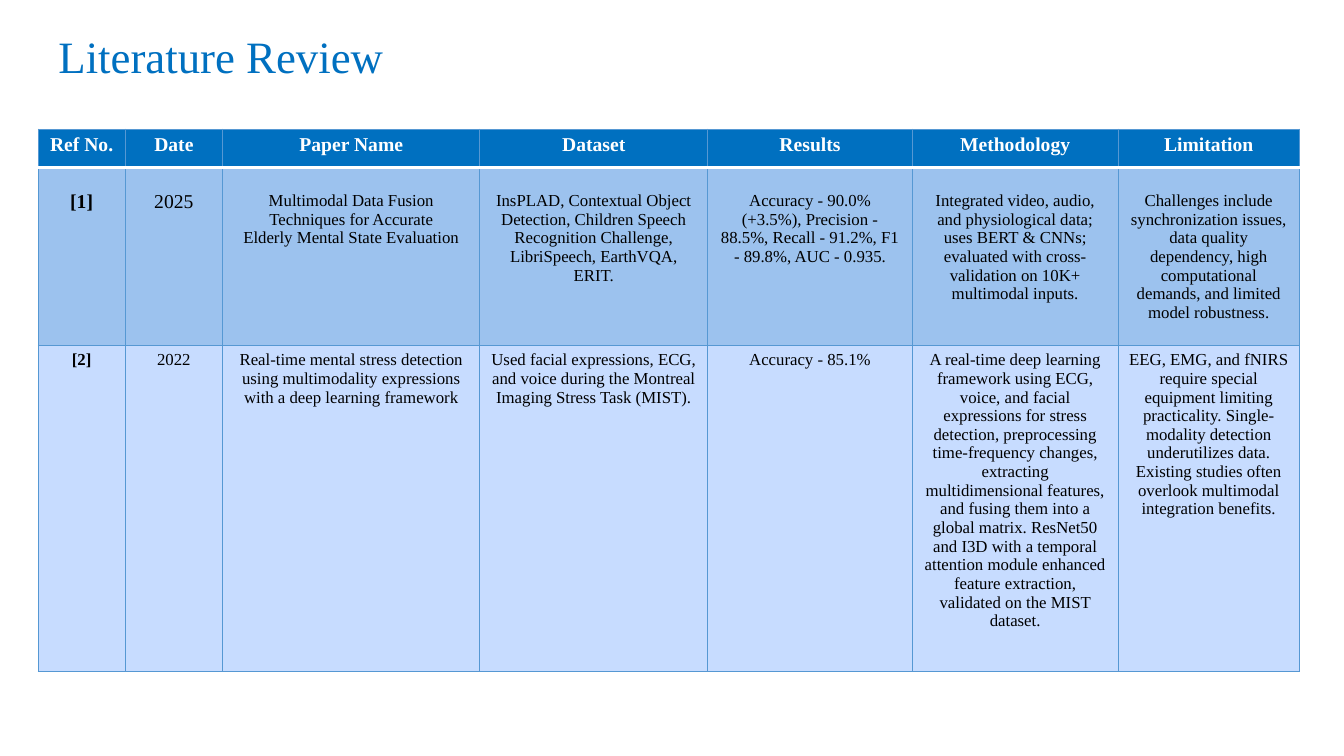
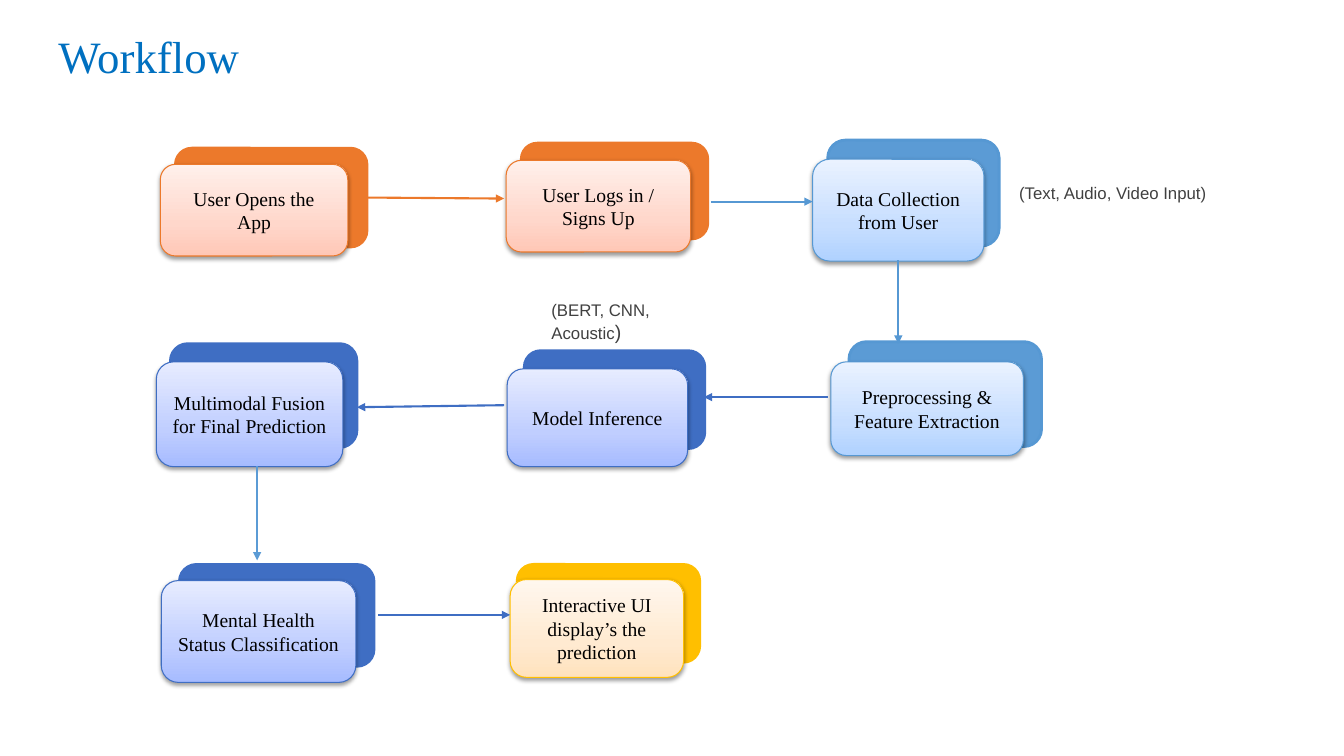
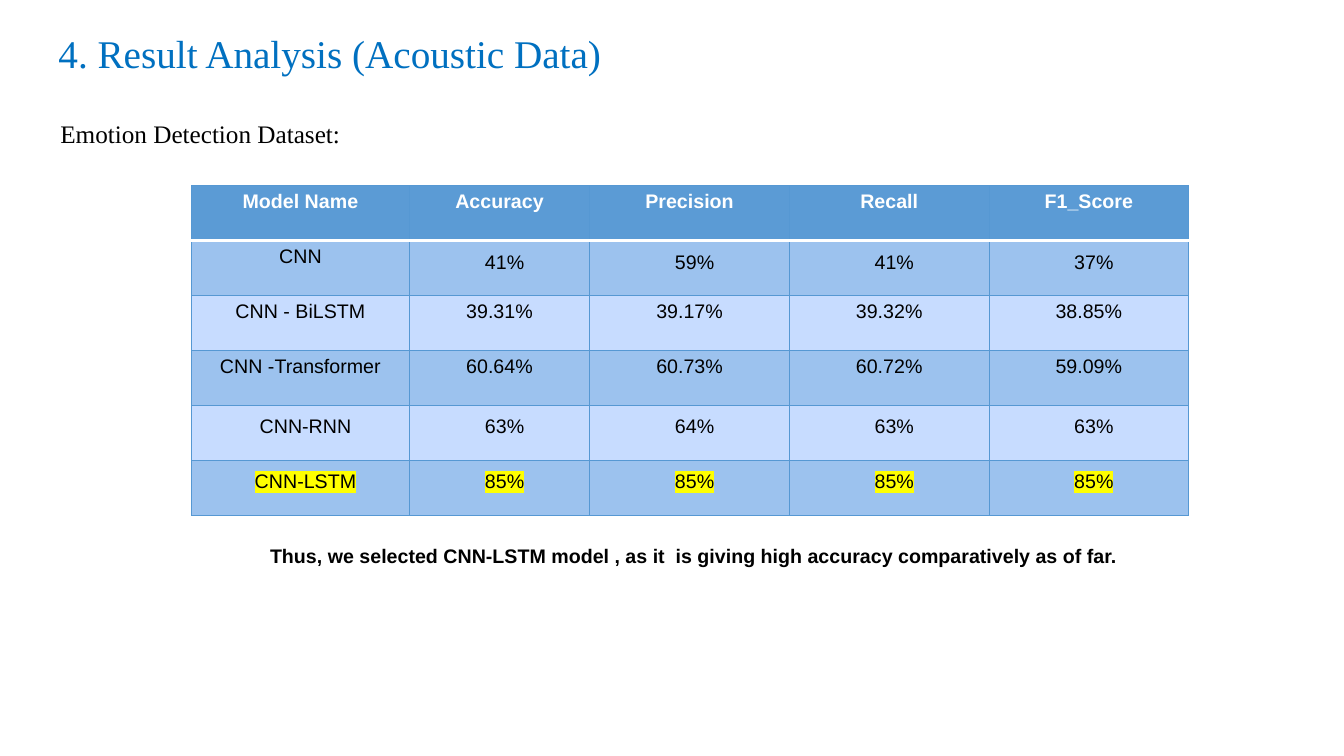
from lxml import etree
from pptx import Presentation
from pptx import util as u
from pptx.dml.color import RGBColor
from pptx.enum import shapes, text
from pptx.oxml.ns import qn

SERIF, SANS = "Times New Roman", "Arial"
COLORS = {
    "title": "0070C0", "header": "5B9BD5", "grid": "5698D3",
    "band_dark": "9CC2EE", "band_light": "C7DCFF",
    "black": "000000", "white": "FFFFFF", "note": "404040", "mark": "FFFF00",
    "orange": "EC792B", "sky": "5698D3", "royal": "3F6EC3", "gold": "FFBF00",
}
# Back panel colour, then gradient stops at 0, 35 and 100 percent
THEMES = {
    "orange": ("orange", ("FFC7B6", "FFD7CB", "FFF0EB")),
    "sky": ("header", ("B0D2FF", "C7DEFF", "EAF2FF")),
    "royal": ("royal", ("A6BBFF", "C0CEFF", "E7ECFF")),
    "gold": ("gold", ("FFE2BD", "FFEAD1", "FFF7EE")),
}
CENTER = text.PP_ALIGN.CENTER


def inches(box):
    return [u.Inches(length) for length in box]


def rgb(name):
    return RGBColor.from_string(COLORS[name])


def child(parent, tag, **attributes):
    element = etree.SubElement(parent, qn("a:" + tag))
    for key, value in attributes.items():
        element.set(key, str(value))
    return element


def style(paragraph, size, color, font=SERIF, bold=False):
    for run in paragraph.runs:
        run.font.size = u.Pt(size)
        run.font.name = font
        run.font.bold = bold
        run.font.color.rgb = rgb(color)


def titled_slide(deck, title, width, height=0.55, size=32):
    slide = deck.slides.add_slide(deck.slide_layouts[5])
    heading = slide.shapes.title
    heading.left, heading.top, heading.width, heading.height = inches(
        (0.58, 0.27, width, height))
    frame = heading.text_frame
    frame.text = title
    frame.margin_left = frame.margin_right = frame.margin_bottom = 0
    frame.margin_top = u.Inches(0.01)
    frame.vertical_anchor = text.MSO_ANCHOR.MIDDLE
    frame.auto_size = text.MSO_AUTO_SIZE.SHAPE_TO_FIT_TEXT
    frame.paragraphs[0].alignment = text.PP_ALIGN.LEFT
    style(frame.paragraphs[0], size, "title")
    return slide


def caption(slide, box, words, size, color, font=SANS, bold=False):
    frame = slide.shapes.add_textbox(*inches(box)).text_frame
    frame.word_wrap = True
    frame.text = words
    style(frame.paragraphs[0], size, color, font, bold)
    return frame.paragraphs[0]


def cell_borders(cell, row):
    """Thin grid lines, with a thick white rule under the header row."""
    properties = cell._tc.get_or_add_tcPr()
    for side in "LRTB":
        under_header = (row, side) in ((0, "B"), (1, "T"))
        color, width = ("white", 2) if under_header else ("grid", 0.75)
        line = child(properties, "ln" + side, w=int(u.Pt(width)))
        child(child(line, "solidFill"), "srgbClr", val=COLORS[color])


def banded_table(slide, left, top, widths, heights, rows, header, font, size):
    box = (left, top, sum(widths), sum(heights))
    table = slide.shapes.add_table(len(rows), len(widths), *inches(box)).table
    for column, width in zip(table.columns, widths):
        column.width = u.Inches(width)
    for r, (height, values) in enumerate(zip(heights, rows)):
        table.rows[r].height = u.Inches(height)
        band = "band_dark" if r % 2 else "band_light"
        for c, value in enumerate(values):
            cell = table.cell(r, c)
            cell_borders(cell, r)
            cell.fill.solid()
            cell.fill.fore_color.rgb = rgb(band if r else header)
            cell.text_frame.text = value
            for paragraph in cell.text_frame.paragraphs:
                paragraph.alignment = CENTER
                if r:
                    style(paragraph, size, "black", font)
                else:
                    style(paragraph, 14, "white", font, True)
    return table


def loosen(cell):
    cell.margin_left = cell.margin_right = u.Inches(0.07)
    cell.margin_top = cell.margin_bottom = 0
    paragraph = cell.text_frame.paragraphs[0]
    paragraph.line_spacing = 1.5
    paragraph.space_after = u.Pt(1.4)
    properties = paragraph._p.get_or_add_pPr()
    properties.set("marL", str(u.Inches(0.11)))
    properties.set("indent", str(u.Inches(-0.01)))


def highlight(cell):
    for run in cell.text_frame.paragraphs[0].runs:
        properties = run._r.get_or_add_rPr()
        mark = child(properties, "highlight")
        child(mark, "srgbClr", val=COLORS["mark"])
        properties.find(qn("a:solidFill")).addnext(mark)


def rounded(slide, box, line, line_width):
    panel = slide.shapes.add_shape(
        shapes.MSO_SHAPE.ROUNDED_RECTANGLE, *inches(box))
    panel.shadow.inherit = False
    panel.line.color.rgb = rgb(line)
    panel.line.width = u.Pt(line_width)
    return panel


def card(slide, label, theme, front_box, back_box):
    """A gradient card with a soft shadow in front of a solid panel."""
    back_color, stops = THEMES[theme]
    back = rounded(slide, back_box, theme, 2)
    back.fill.solid()
    back.fill.fore_color.rgb = rgb(back_color)

    front = rounded(slide, front_box, theme, 0.75)
    front.fill.background()
    properties = front._element.spPr
    gradient = etree.Element(qn("a:gradFill"), rotWithShape="1")
    stop_list = child(gradient, "gsLst")
    for position, color in zip((0, 35, 100), stops):
        stop = child(stop_list, "gs", pos=position * 1000)
        child(stop, "srgbClr", val=color)
    child(gradient, "lin", ang=270 * 60000, scaled=0)
    properties.replace(properties.find(qn("a:noFill")), gradient)

    shadow = child(properties.find(qn("a:effectLst")), "outerShdw",
                   blurRad=int(u.Pt(3.1)), dist=int(u.Pt(1.6)),
                   dir=90 * 60000, rotWithShape=0)
    child(child(shadow, "srgbClr", val=COLORS["black"]), "alpha", val=38000)

    frame = front.text_frame
    frame.word_wrap = True
    frame.vertical_anchor = text.MSO_ANCHOR.MIDDLE
    frame.text = label
    frame.paragraphs[0].alignment = CENTER
    style(frame.paragraphs[0], 14, "black")


def arrow(slide, color, *ends):
    connector = slide.shapes.add_connector(
        shapes.MSO_CONNECTOR.STRAIGHT, *inches(ends))
    connector.line.color.rgb = rgb(color)
    connector.line.width = u.Pt(1.5)
    child(connector.line._get_or_add_ln(), "tailEnd", type="triangle")
    child(connector._element.spPr, "effectLst")


LITERATURE = [
    ("Ref No.", "Date", "Paper Name", "Dataset", "Results", "Methodology",
     "Limitation"),
    ("[1]", "2025",
     "Multimodal Data Fusion Techniques for Accurate\n"
     "Elderly Mental State Evaluation",
     "InsPLAD, Contextual Object Detection, Children Speech Recognition "
     "Challenge, LibriSpeech, EarthVQA, ERIT.",
     "Accuracy - 90.0% (+3.5%), Precision - 88.5%, Recall - 91.2%, "
     "F1 - 89.8%, AUC - 0.935.",
     "Integrated video, audio, and physiological data; uses BERT & CNNs; "
     "evaluated with cross-validation on 10K+ multimodal inputs.",
     "Challenges include synchronization issues, data quality dependency, "
     "high computational demands, and limited model robustness."),
    ("[2]", "2022",
     "Real-time mental stress detection using multimodality expressions "
     "with a deep learning framework",
     "Used facial expressions, ECG, and voice during the Montreal Imaging "
     "Stress Task (MIST).",
     "Accuracy - 85.1%",
     "A real-time deep learning framework using ECG, voice, and facial "
     "expressions for stress detection, preprocessing time-frequency "
     "changes, extracting multidimensional features, and fusing them into "
     "a global matrix. ResNet50 and I3D with a temporal attention module "
     "enhanced feature extraction, validated on the MIST dataset.",
     "EEG, EMG, and fNIRS require special equipment limiting practicality. "
     "Single-modality detection underutilizes data. Existing studies often "
     "overlook multimodal integration benefits."),
]

STEPS = [
    ("User Opens the App", "orange",
     (1.59, 1.63, 1.86, 0.91), (1.74, 1.47, 1.9, 0.98)),
    ("User Logs in / Signs Up", "orange",
     (5.02, 1.59, 1.83, 0.91), (5.17, 1.42, 1.85, 0.95)),
    ("Data Collection from User", "sky",
     (8.06, 1.58, 1.7, 1.01), (8.21, 1.39, 1.7, 1.05)),
    ("Preprocessing & Feature Extraction", "sky",
     (8.24, 3.59, 1.91, 0.93), (8.42, 3.39, 1.91, 1.04)),
    ("Model Inference", "royal",
     (5.03, 3.66, 1.79, 0.97), (5.2, 3.48, 1.79, 0.97)),
    ("Multimodal Fusion for Final Prediction", "royal",
     (1.55, 3.59, 1.85, 1.04), (1.69, 3.41, 1.85, 1.03)),
    ("Mental Health Status Classification", "royal",
     (1.6, 5.76, 1.93, 1.01), (1.78, 5.6, 1.93, 1.01)),
    ("Interactive UI display’s the prediction", "gold",
     (5.06, 5.75, 1.72, 0.97), (5.13, 5.6, 1.81, 0.97)),
]

FLOW = [
    ("orange", 3.64, 1.96, 5, 1.97),
    ("sky", 7.05, 2, 8.06, 2),
    ("royal", 8.21, 3.94, 6.98, 3.94),
    ("royal", 5, 4.02, 3.54, 4.04),
    ("royal", 3.75, 6.1, 5.06, 6.1),
    ("sky", 8.91, 2.58, 8.91, 3.41),
    ("header", 2.55, 4.62, 2.55, 5.56),
]

SCORES = [
    ("Model Name", "Accuracy", "Precision", "Recall", "F1_Score"),
    ("CNN", "41%", "59%", "41%", "37%"),
    ("CNN - BiLSTM", "39.31%", "39.17%", "39.32%", "38.85%"),
    ("CNN -Transformer", "60.64%", "60.73%", "60.72%", "59.09%"),
    ("CNN-RNN", "63%", "64%", "63%", "63%"),
    ("CNN-LSTM", "85%", "85%", "85%", "85%"),
]


def literature_slide(deck):
    slide = titled_slide(deck, "Literature Review", 4.05)
    table = banded_table(
        slide, 0.38, 1.28, (0.86, 0.97, 2.55, 2.26, 2.03, 2.04, 1.8),
        (0.38, 1.77, 3.23), LITERATURE, "title", SERIF, 12)
    for column in range(len(LITERATURE[0])):
        table.cell(1, column).margin_top = u.Inches(0.24)
    for row, column, size in ((1, 0, 14), (1, 1, 14), (2, 0, 12)):
        paragraph = table.cell(row, column).text_frame.paragraphs[0]
        style(paragraph, size, "black", bold=column == 0)


def workflow_slide(deck):
    slide = titled_slide(deck, "Workflow", 2.54)
    for step in STEPS:
        card(slide, *step)
    for link in FLOW:
        arrow(slide, *link)
    caption(slide, (10.01, 1.76, 2.46, 0.3), "(Text, Audio, Video Input)",
            12, "note")
    models = caption(slide, (5.37, 2.92, 1.38, 0.54), "(BERT, CNN, Acoustic",
                     12, "note")
    models.add_run().text = ")"
    style(models, 12, "note", SANS)
    models.runs[-1].font.size = u.Pt(14)


def results_slide(deck):
    slide = titled_slide(deck, "4. Result Analysis (Acoustic Data)", 7.32,
                         0.49, 28)
    table = banded_table(
        slide, 1.9, 1.84, (2.16, 1.79, 1.98, 1.98, 1.98),
        [0.545] * len(SCORES), SCORES, "header", SANS, 14)
    for row, first_column in ((1, 1), (4, 0), (5, 0)):
        for column in range(first_column, len(SCORES[0])):
            loosen(table.cell(row, column))
    for column in range(len(SCORES[0])):
        highlight(table.cell(len(SCORES) - 1, column))
    caption(slide, (0.5, 1.12, 3.02, 0.4), "Emotion Detection Dataset:",
            18, "black", SERIF)
    caption(slide, (2.58, 5.35, 9.57, 0.34),
            "Thus, we selected CNN-LSTM model , as it  is giving high "
            "accuracy comparatively as of far.", 14, "black", bold=True)


def main():
    deck = Presentation()
    deck.slide_width, deck.slide_height = inches((13.33, 7.5))
    literature_slide(deck)
    workflow_slide(deck)
    results_slide(deck)
    deck.save("out.pptx")


if __name__ == "__main__":
    main()
